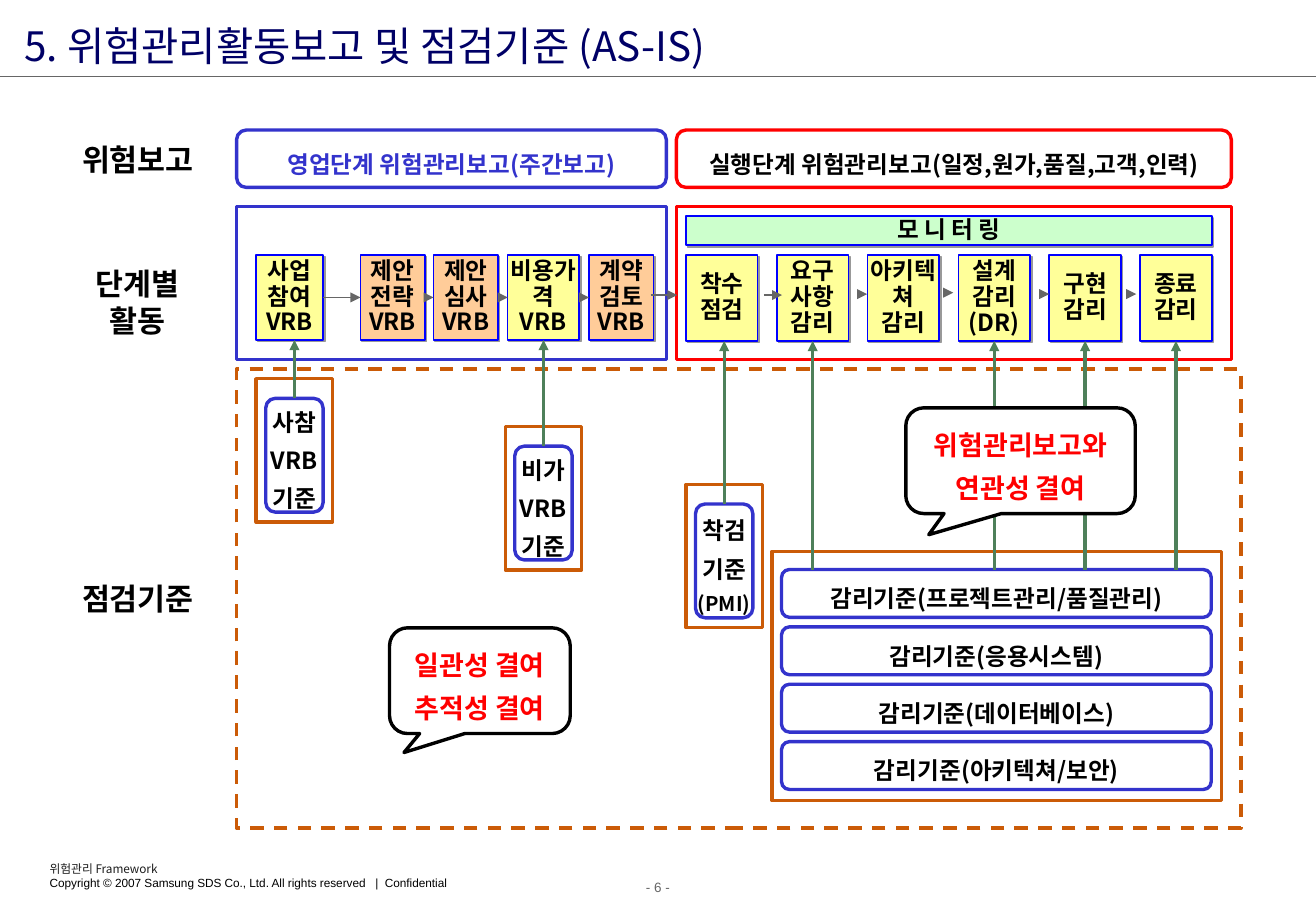
from collections import namedtuple
from lxml.etree import SubElement
from pptx import Presentation
from pptx.dml.color import RGBColor
from pptx.enum.dml import MSO_LINE
from pptx.enum.shapes import MSO_CONNECTOR, MSO_SHAPE as Preset
from pptx.enum.text import MSO_ANCHOR as Anchor, MSO_AUTO_SIZE as AutoSize, PP_ALIGN as Align
from pptx.oxml.ns import qn
from pptx.util import Cm, Pt

Box = namedtuple("Box", "left top width height")
KOREAN = "Noto Sans CJK KR"
BLUE, RED, GREEN, ORANGE, GRAY = "3333CC", "FF0000", "4E805A", "CB5B07", "666666"
YELLOW, PEACH = "FFFF99", "FFCC99"
TIGHT = dict(insets=(0.05, 0.13), spacing=0.9)
LOOSE = dict(insets=(0, 0), spacing=1.35)


def rgb(value):
    return RGBColor.from_string(value)


def inside(box, left, top, width, height):
    return Box(box.left + left, box.top + top, width, height)


def lengths(box):
    return [Cm(value) for value in box]


def apply(target, values):
    for key, value in values.items():
        setattr(target, key, value)


def write(frame, lines, size=14, color="000000", bold=True, font=KOREAN, align=Align.CENTER,
          insets=(0.25, 0.13), spacing=1.0, wrap=True, anchor=Anchor.MIDDLE):
    side, end = (Cm(value) for value in insets)
    apply(frame, dict(auto_size=AutoSize.NONE, word_wrap=wrap, vertical_anchor=anchor,
                      margin_left=side, margin_right=side, margin_top=end, margin_bottom=end))
    for index, line in enumerate(lines):
        paragraph = frame.add_paragraph() if index else frame.paragraphs[0]
        apply(paragraph, dict(alignment=align, line_spacing=spacing))
        run = paragraph.add_run()
        run.text = line
        apply(run.font, dict(size=Pt(size), bold=bold, name=font))
        run.font.color.rgb = rgb(color)
        SubElement(run.font._element, qn("a:ea"), typeface=KOREAN)


def draw(slide, preset, box, line=None, fill=None, weight=2):
    shape = slide.shapes.add_shape(preset, *lengths(box))
    shape.shadow.inherit = False
    if fill:
        shape.fill.solid()
        shape.fill.fore_color.rgb = rgb(fill)
    else:
        shape.fill.background()
    if line:
        shape.line.color.rgb = rgb(line)
        shape.line.width = Pt(weight)
    else:
        shape.line.fill.background()
    return shape


def connect(slide, start, end, color=GRAY, weight=1, arrow=True):
    link = slide.shapes.add_connector(MSO_CONNECTOR.STRAIGHT, *start, *end)
    link.line.color.rgb = rgb(color)
    link.line.width = Pt(weight)
    if arrow:
        SubElement(link.line._get_or_add_ln(), qn("a:tailEnd"), type="triangle")
    SubElement(link._element.spPr, qn("a:effectLst"))
    return link


def middle(shape):
    return shape.left + shape.width // 2


def activity(slide, box, lines, fill):
    step = draw(slide, Preset.RECTANGLE, box, "0000FF", fill, 1)
    effects = step._element.spPr.find(qn("a:effectLst"))
    shadow = SubElement(effects, qn("a:outerShdw"), dist=str(Pt(1.4)), dir="2700000", rotWithShape="0")
    SubElement(shadow, qn("a:srgbClr"), val="999999")
    write(step.text_frame, lines, **TIGHT)
    return step


def rounded(slide, box, lines, line=BLUE, color="000000"):
    card = draw(slide, Preset.FLOWCHART_ALTERNATE_PROCESS, box, line)
    write(card.text_frame, lines, color=color, wrap=False, **LOOSE)
    return card


def heading(slide, box):
    title = slide.shapes.title
    apply(title, dict(zip(Box._fields, lengths(box))))
    write(title.text_frame, ["5. 위험관리활동보고 및 점검기준 (AS-IS)"], 24, "000066", False,
          align=Align.LEFT, insets=(0.1, 0), spacing=1.1)
    connect(slide, (0, Cm(1.6)), (Cm(27.53), Cm(1.6)), weight=0.75, arrow=False)


def row_labels(slide, box):
    for top, lines in ((0, ["위험보고"]), (2.97, ["단계별", "활동"]), (9.17, ["점검기준"])):
        label = draw(slide, Preset.ROUNDED_RECTANGLE, inside(box, 0, top, box.width, 1.24))
        label.adjustments[0] = 0
        write(label.text_frame, lines, 18)


def sales_stage(slide, box):
    draw(slide, Preset.RECTANGLE, box, BLUE)
    steps = [activity(slide, inside(box, left, 1.01, width, 1.78), [name], fill)
             for left, width, name, fill in (
                 (0.41, 1.4, "사업참여VRB", YELLOW), (2.59, 1.35, "제안전략VRB", PEACH),
                 (4.12, 1.35, "제안심사VRB", PEACH), (5.67, 1.5, "비용가격VRB", YELLOW),
                 (7.37, 1.35, "계약검토VRB", PEACH))]
    for before, after in zip(steps, steps[1:]):
        link = connect(slide, (0, 0), (0, 0))
        link.begin_connect(before, 3)
        link.end_connect(after, 1)
    return steps


def execution_stage(slide, box):
    draw(slide, Preset.RECTANGLE, box, RED)
    monitoring = inside(box, 0.2, 0.2, 11, 0.61)
    activity(slide, monitoring, ["모 니 터 링"], "CCFFCC")
    names = (["착수", "점검"], ["요구", "사항", "감리"], ["아키텍쳐", "감리"],
             ["설계", "감리", "(DR)"], ["구현", "감리"], ["종료", "감리"])
    width = 1.5
    pitch = (monitoring.width - width) / (len(names) - 1)
    steps = [activity(slide, inside(monitoring, index * pitch, 0.81, width, 1.8), lines, YELLOW)
             for index, lines in enumerate(names)]
    for start, end, top in ((-0.54, 0.02, 1.85), (1.83, 2.21, 1.85), (3.81, 3.99, 1.83),
                            (5.61, 5.79, 1.8), (7.62, 7.8, 1.83), (9.45, 9.62, 1.83)):
        level = Cm(box.top + top)
        connect(slide, (Cm(box.left + start), level), (Cm(box.left + end), level))
    return steps


def criterion(slide, box, lines, step):
    draw(slide, Preset.RECTANGLE, box, ORANGE)
    card = rounded(slide, inside(box, 0.2, 0.41, 1.2, 2.38), lines)
    link = connect(slide, (middle(card), card.top), (middle(card), step.top + step.height), GREEN, 2)
    link.begin_connect(card, 0)
    if abs(middle(step) - middle(card)) < Cm(0.02):
        link.end_connect(step, 2)


def audit_criteria(slide, box, steps):
    draw(slide, Preset.RECTANGLE, box, ORANGE)
    for index, subject in enumerate(("프로젝트관리/품질관리", "응용시스템", "데이터베이스", "아키텍쳐/보안")):
        rounded(slide, inside(box, 0.2, 0.38 + index * 1.2, 8.99, 1), [f"감리기준({subject})"])
    for step in steps:
        link = connect(slide, (middle(step), Cm(box.top + 0.38)),
                       (middle(step), step.top + step.height), GREEN, 2)
        link.end_connect(step, 2)


def finding(slide, box, lines, tip, fill=None):
    callout = draw(slide, Preset.ROUNDED_RECTANGULAR_CALLOUT, box, "000000", fill)
    for index, value in enumerate((*tip, 0.17)):
        callout.adjustments[index] = value
    write(callout.text_frame, lines, 16, RED, **LOOSE)


def criteria(slide, box, sales, execution):
    draw(slide, Preset.RECTANGLE, box, ORANGE).line.dash_style = MSO_LINE.DASH
    for left, top, lines, step in ((0.41, 0.2, ["사참", "VRB", "기준"], sales[0]),
                                   (5.62, 1.2, ["비가", "VRB", "기준"], sales[3]),
                                   (9.4, 2.41, ["착검", "기준", "(PMI)"], execution[0])):
        criterion(slide, inside(box, left, top, 1.6, 3), lines, step)
    slide.shapes[-2].text_frame.paragraphs[-1].runs[0].font.size = Pt(12)
    audit_criteria(slide, inside(box, 11.2, 3.81, 9.4, 5.21),
                   [execution[index] for index in (1, 3, 4, 5)])
    finding(slide, inside(box, 3.2, 5.41, 3.78, 2.21), ["일관성 결여", "추적성 결여"], (-0.42, 0.68))
    finding(slide, inside(box, 14, 0.81, 4.8, 2.21), ["위험관리보고와", "연관성 결여"], (-0.4, 0.7), "FFFFFF")


def footer(slide, box):
    notice = slide.shapes.add_textbox(*lengths(inside(box, 0.79, 0, 10.57, 0.86))).text_frame
    write(notice, ["위험관리 Framework",
                   "Copyright © 2007 Samsung SDS Co., Ltd. All rights reserved   |  Confidential"],
          7, bold=False, font="Arial", align=Align.LEFT, anchor=Anchor.TOP)
    framework = notice.paragraphs[0].runs[0].font
    framework.name = KOREAN
    framework.color.rgb = rgb("1C1C1C")
    page = slide.shapes.add_textbox(*lengths(inside(box, 0, 0.38, box.width, 0.61)))
    write(page.text_frame, ["- 6 -"], 8, GRAY, False, "Arial", anchor=Anchor.TOP)


def main():
    deck = Presentation()
    deck.slide_width, deck.slide_height = Cm(27.53), Cm(19.05)
    slide = deck.slides.add_slide(deck.slide_layouts[5])
    heading(slide, Box(0.41, 0.33, 20.14, 1.12))
    row_labels(slide, Box(1.35, 2.72, 3.07, 10.41))
    rounded(slide, Box(4.95, 2.72, 8.99, 1.2), ["영업단계 위험관리보고(주간보고)"], BLUE, BLUE)
    rounded(slide, Box(14.15, 2.72, 11.61, 1.2), ["실행단계 위험관리보고(일정,원가,품질,고객,인력)"], RED)
    sales = sales_stage(slide, Box(4.95, 4.32, 8.99, 3.2))
    execution = execution_stage(slide, Box(14.15, 4.32, 11.61, 3.2))
    criteria(slide, Box(4.95, 7.72, 21.01, 9.6), sales, execution)
    footer(slide, Box(0, 17.88, 27.53, 0.99))
    deck.save("out.pptx")


if __name__ == "__main__":
    main()
